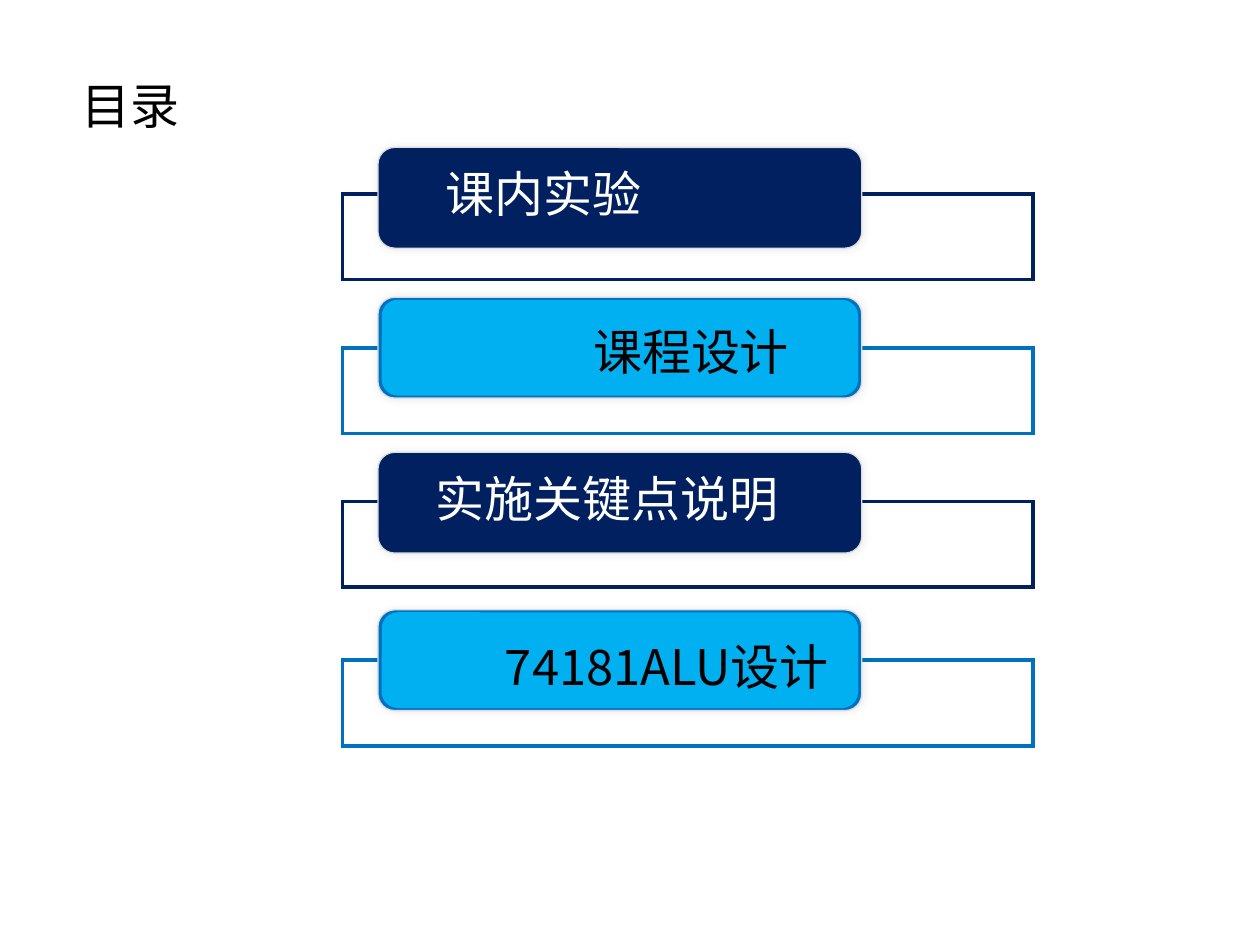
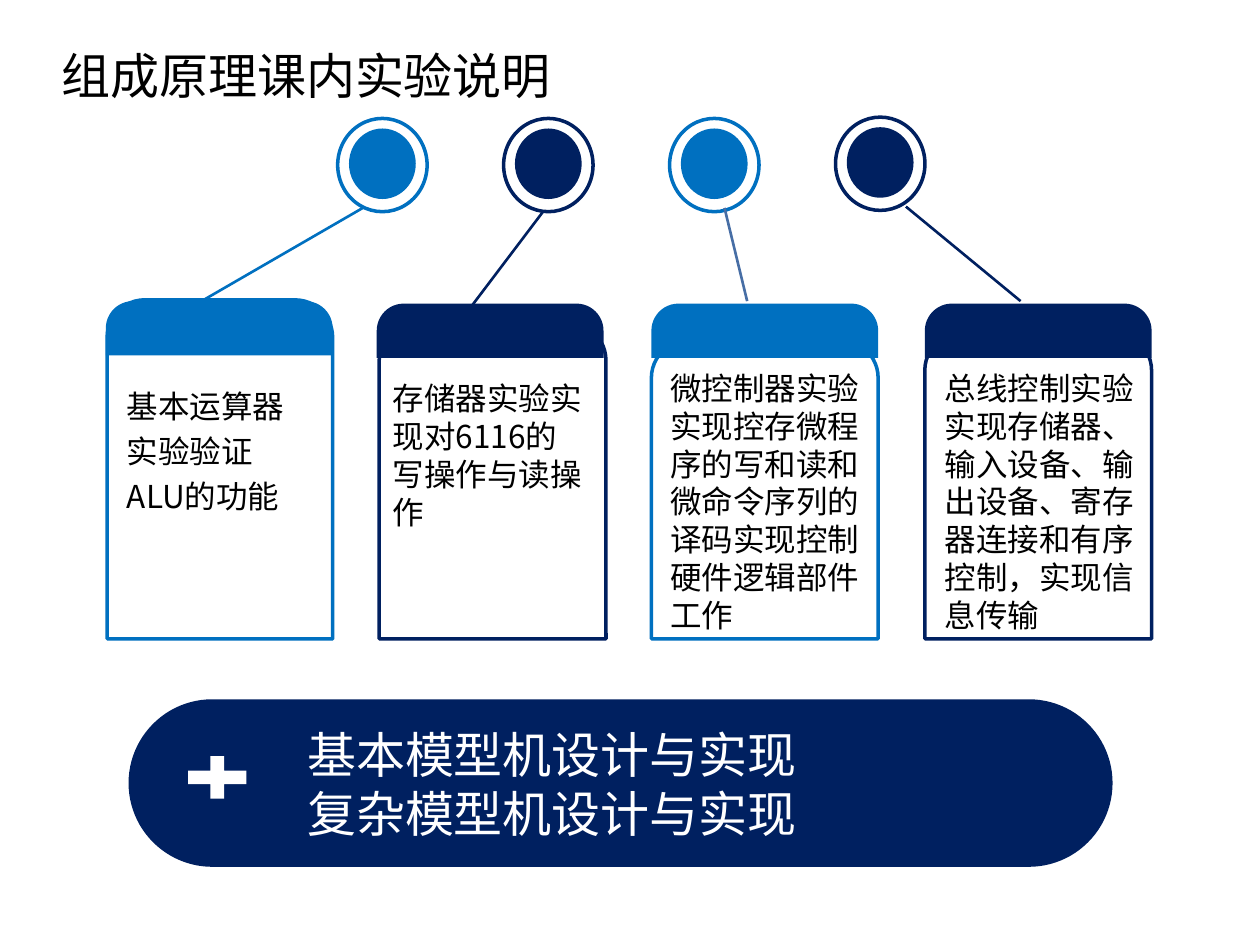
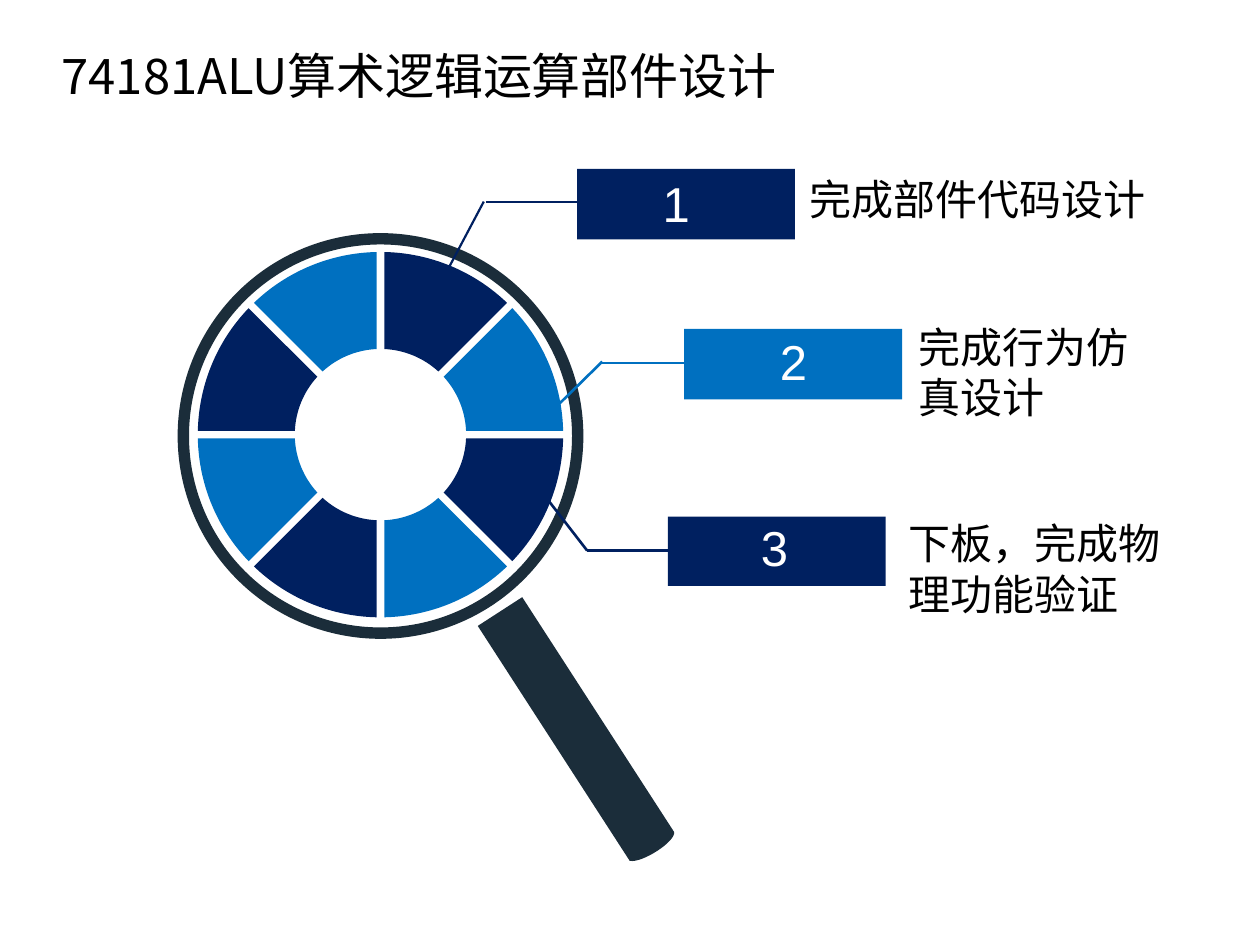
"""Build three slides on computer organisation lab work."""
from math import asin, cos, pi, sin, tan

from lxml.etree import SubElement
from pptx import Presentation
from pptx.dml.color import RGBColor
from pptx.enum.shapes import MSO_CONNECTOR, MSO_SHAPE
from pptx.oxml.ns import qn
from pptx.util import Inches, Pt

NAVY = RGBColor(0x00, 0x20, 0x60)
BLUE = RGBColor(0x00, 0x70, 0xC0)
SKY = RGBColor(0x00, 0xB0, 0xF0)
STEEL = RGBColor(0x47, 0x6E, 0xA5)
SLATE = RGBColor(0x1B, 0x2D, 0x3A)
PALE = RGBColor(0xDD, 0xDD, 0xDD)
WHITE = RGBColor(0xFF, 0xFF, 0xFF)
BLACK = RGBColor(0x00, 0x00, 0x00)
CJK_FONT = "Noto Sans CJK SC"


def paint(shape, fill=None, line=None, width=2):
    """Set fill and outline, leaving out whichever is None."""
    shape.shadow.inherit = False
    if fill is None:
        shape.fill.background()
    else:
        shape.fill.solid()
        shape.fill.fore_color.rgb = fill
    if line is None:
        shape.line.fill.background()
    else:
        shape.line.color.rgb = line
        shape.line.width = Pt(width)


def add_figure(slide, kind, box, fill=None, line=None, width=2, adjustments=()):
    """Add a preset shape; box is left, top, width, height in inches."""
    shape = slide.shapes.add_shape(kind, *map(Inches, box))
    paint(shape, fill, line, width)
    for index, value in enumerate(adjustments):
        shape.adjustments[index] = value
    return shape


def add_outline(slide, points, curve_starts, fill):
    """Add a filled outline; the three points from each curve start form one curve."""
    first, *rest = [(Inches(x), Inches(y)) for x, y in points]
    builder = slide.shapes.build_freeform(*first)
    builder.add_line_segments(rest, close=True)
    shape = builder.convert_to_shape()
    paint(shape, fill)
    lines = list(shape._element.iter(qn("a:lnTo")))
    for start in curve_starts:
        bend = lines[start - 1:start + 2]
        curve = SubElement(bend[0].getparent(), qn("a:cubicBezTo"))
        bend[0].addprevious(curve)
        for segment in bend:
            curve.append(segment[0])
            segment.getparent().remove(segment)
    return shape


def add_line(slide, start, end, color, width=1.5):
    """Add a straight line without a shadow."""
    ends = map(Inches, (*start, *end))
    line = slide.shapes.add_connector(MSO_CONNECTOR.STRAIGHT, *ends)
    line.line.color.rgb = color
    line.line.width = Pt(width)
    SubElement(line._element.spPr, qn("a:effectLst"))


def add_text(slide, box, lines, size=28, color=BLACK, font=CJK_FONT, spacing=None):
    """Add a wrapped text box with one paragraph per line."""
    frame = slide.shapes.add_textbox(*map(Inches, box)).text_frame
    frame.word_wrap = True
    frame.text = lines
    for paragraph in frame.paragraphs:
        paragraph.font.size = Pt(size)
        paragraph.font.name = font
        paragraph.font.color.rgb = color
        if spacing:
            paragraph.line_spacing = spacing
        properties = paragraph._p.pPr.find(qn("a:defRPr"))
        SubElement(properties, qn("a:ea"), typeface=font)


def add_title(slide, text, width, left=0.39, top=0.31):
    """Add the slide title."""
    add_text(slide, (left, top, width, 0.57), text)


def add_soft_shadow(shape):
    """Give a shape a faint glow-like shadow."""
    effects = shape._element.spPr.find(qn("a:effectLst"))
    shadow = SubElement(effects, qn("a:outerShdw"), blurRad=str(Pt(5)), dist="0")
    color = SubElement(shadow, qn("a:srgbClr"), val="000000")
    SubElement(color, qn("a:alpha"), val="8000")


def add_frame(slide, top, edge):
    """Add a sharp-cornered frame with a slightly transparent white fill."""
    frame = add_figure(slide, MSO_SHAPE.RECTANGLE, (2.72, top, 5.48, 0.68), WHITE, edge)
    properties = frame._element.spPr
    color = properties.find(qn("a:solidFill")).find(qn("a:srgbClr"))
    SubElement(color, qn("a:alpha"), val="90000")
    SubElement(properties.find(qn("a:ln")), qn("a:miter"), lim="800000")


def add_button(slide, top, edge, face):
    """Add a two-layer button."""
    rim = add_figure(slide, MSO_SHAPE.ROUNDED_RECTANGLE, (3, top, 3.84, 0.8),
                     edge, PALE, 0.75)
    add_soft_shadow(rim)
    add_figure(slide, MSO_SHAPE.ROUNDED_RECTANGLE, (3.03, top + 0.02, 3.78, 0.76), face)


def build_agenda(slide):
    """Build the table of contents."""
    add_title(slide, "目录", 1.09, 0.55, 0.55)
    items = [
        (1.54, 1.17, "课内实验", (3.44, 1.25, 1.77, 0.57)),
        (2.76, 2.36, "课程设计", (4.61, 2.5, 1.77, 0.57)),
        (3.98, 3.59, "实施关键点说明", (3.36, 3.67, 2.95, 0.57)),
        (5.24, 4.84, "74181ALU设计", (3.91, 5, 2.9, 0.57)),
    ]
    styles = [(NAVY, NAVY, WHITE), (BLUE, SKY, BLACK)]
    for index, (frame_top, button_top, label, label_box) in enumerate(items):
        edge, face, ink = styles[index % 2]
        add_frame(slide, frame_top, edge)
        add_button(slide, button_top, edge, face)
        add_text(slide, label_box, label, color=ink)


def add_ring(slide, left, top, color):
    """Add a disc inside a thin ring."""
    add_figure(slide, MSO_SHAPE.OVAL, (left + 0.09, top + 0.08, 0.53, 0.56), color)
    add_figure(slide, MSO_SHAPE.OVAL, (left, top, 0.71, 0.74), line=color)


def add_card(slide, left, body_top, width, cap_left, cap_top, color):
    """Add an outlined card that ends at a shared base, with a solid cap."""
    kind = MSO_SHAPE.ROUND_2_SAME_RECTANGLE
    add_figure(slide, kind, (left, body_top, width, 5.07 - body_top), line=color)
    add_figure(slide, kind, (cap_left, cap_top, 1.8, 0.43), color, adjustments=(0.5, 0))


def build_experiments(slide):
    """Build the four experiment cards and the summary banner."""
    add_title(slide, "组成原理课内实验说明", 4.37)
    cards = [
        (0.85, 2.38, 1.79, 0.84, 2.39),
        (3.01, 2.56, 1.8, 2.99, 2.41),
        (5.17, 2.7, 1.8, 5.17, 2.41),
        (7.34, 2.64, 1.8, 7.34, 2.41),
    ]
    ring_tops = (0.94, 0.94, 0.94, 0.93)
    links = [
        ((2.88, 1.65), (1.6, 2.39), BLUE),
        ((4.31, 1.68), (3.75, 2.42), NAVY),
        ((5.75, 1.65), (5.93, 2.39), STEEL),
        ((7.19, 1.64), (8.1, 2.39), NAVY),
    ]
    texts = [
        ((0.91, 2.96, 1.64, 1.56), "基本运算器实验验证ALU的功能", 1.2),
        ((3.02, 2.96, 1.72, 1.31), "存储器实验实现对6116的写操作与读操作", None),
        ((5.22, 2.88, 1.8, 2.22),
         "微控制器实验实现控存微程序的写和读和微命令序列的译码实现控制硬件逻辑部件工作", None),
        ((7.4, 2.88, 1.88, 2.22),
         "总线控制实验实现存储器、输入设备、输出设备、寄存器连接和有序控制，实现信息传输", None),
    ]
    for index, (card, ring_top) in enumerate(zip(cards, ring_tops)):
        color = (BLUE, NAVY)[index % 2]
        add_ring(slide, 2.68 + 1.317 * index, ring_top, color)
        add_card(slide, *card, color)
    for link in links:
        add_line(slide, *link)
    for box, text, spacing in texts:
        add_text(slide, box, text, 18, spacing=spacing)
    add_figure(slide, MSO_SHAPE.ROUNDED_RECTANGLE, (1.02, 5.55, 7.81, 1.33), NAVY,
               adjustments=(0.5,))
    add_figure(slide, MSO_SHAPE.MATH_PLUS, (1.41, 5.94, 0.63, 0.46), WHITE)
    add_text(slide, (2.34, 5.7, 6.17, 1.04), "基本模型机设计与实现\n复杂模型机设计与实现",
             color=WHITE)


def arc_curve(center, radius, start, end, half_gap):
    """Return the four points of a clockwise arc, trimmed by half a gap at each end."""
    trim = asin(half_gap / radius)
    start, end = start + trim, end - trim
    reach = 4 / 3 * tan((end - start) / 4)
    offsets = [
        (sin(start), cos(start)),
        (sin(start) + reach * cos(start), cos(start) - reach * sin(start)),
        (sin(end) - reach * cos(end), cos(end) + reach * sin(end)),
        (sin(end), cos(end)),
    ]
    return [(center[0] + radius * x, center[1] - radius * y) for x, y in offsets]


def add_wheel(slide, center, outer, inner, count=8, half_gap=0.03):
    """Add a ring of equal segments in alternating colours."""
    for index in range(count):
        start, end = (2 * pi * step / count for step in (index, index + 1))
        rim = arc_curve(center, outer, start, end, half_gap)
        hub = arc_curve(center, inner, start, end, half_gap)
        add_outline(slide, rim + hub[::-1], (1, 5), (NAVY, BLUE)[index % 2])


def add_handle(slide):
    """Add the tilted magnifier handle with a rounded end."""
    points = [(4.38, 4.67), (4.8, 4.67), (4.8, 6.89), (4.77, 6.96), (4.45, 6.96),
              (4.38, 6.89)]
    add_outline(slide, points, (3,), SLATE).rotation = 327.1


def add_leader(slide, route, color, width, bar):
    """Add a bent leader line that ends in a solid bar."""
    tip, bend, tail_start, tail_end = route
    add_line(slide, tip, bend, color, width)
    add_line(slide, tail_start, tail_end, color, width)
    add_figure(slide, MSO_SHAPE.RECTANGLE, bar, color)


def build_alu_design(slide):
    """Build the magnifier and the three design steps."""
    add_figure(slide, MSO_SHAPE.DONUT, (1.41, 1.85, 3.22, 3.22), SLATE,
               adjustments=(0.028,))
    add_wheel(slide, (3.02, 3.45), 1.45, 0.68)
    add_handle(slide)
    leaders = [
        (((3.4, 2.43), (3.84, 1.6), (3.86, 1.6), (5.22, 1.6)), NAVY, 1.25,
         (4.58, 1.34, 1.73, 0.56)),
        (((4.25, 3.39), (4.78, 2.87), (4.78, 2.88), (5.96, 2.88)), BLUE, 1.5,
         (5.43, 2.61, 1.73, 0.56)),
        (((4.25, 3.84), (4.66, 4.37), (4.66, 4.37), (5.8, 4.37)), NAVY, 1.5,
         (5.3, 4.1, 1.73, 0.55)),
    ]
    labels = [
        ((5.16, 1.33), "完成部件代码设计", (6.33, 1.33, 2.89, 0.5)),
        ((6.09, 2.58), "完成行为仿真设计", (7.19, 2.5, 2.11, 0.91)),
        ((5.94, 4.06), "下板，完成物理功能验证", (7.11, 4.06, 2.34, 0.91)),
    ]
    for leader in leaders:
        add_leader(slide, *leader)
    add_title(slide, "74181ALU算术逻辑运算部件设计", 6.33)
    for number, (number_at, label, label_box) in enumerate(labels, 1):
        add_text(slide, label_box, label, 24)
        add_text(slide, (*number_at, 0.39, 0.57), str(number), color=WHITE, font="Arial")


def main():
    """Create and save the presentation."""
    presentation = Presentation()
    presentation.slide_width = Inches(10)
    presentation.slide_height = Inches(7.5)
    blank = presentation.slide_layouts[6]
    for build in (build_agenda, build_experiments, build_alu_design):
        build(presentation.slides.add_slide(blank))
    presentation.save("out.pptx")


if __name__ == "__main__":
    main()
